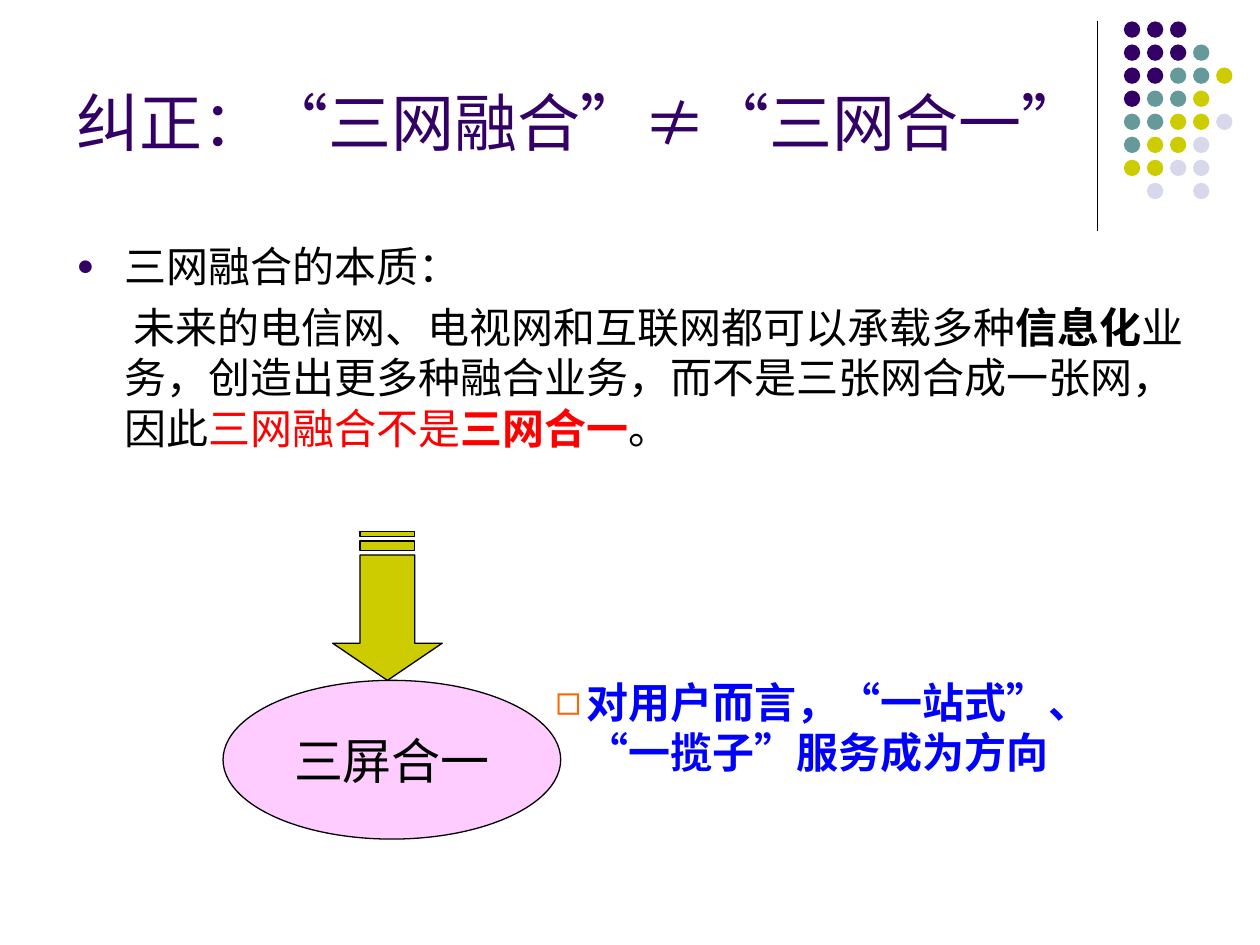
from lxml import etree
from pptx import Presentation
from pptx.dml.color import RGBColor
from pptx.enum.shapes import MSO_CONNECTOR as Connector, MSO_SHAPE as Shape
from pptx.enum.text import MSO_ANCHOR as Anchor, PP_ALIGN as Align
from pptx.oxml.ns import qn
from pptx.util import Inches, Pt

COLUMNS, ROWS = 100, 75
BLACK, PURPLE, TEAL, OLIVE, LILAC = "000000", "330066", "669999", "CCCC00", "D8D8EC"
RED, BLUE, ORANGE, PINK = "FF0000", "0000FF", "FF6600", "FFCCFF"
CJK = "Noto Sans CJK SC"


def color(code):
    return RGBColor.from_string(code)


class Deck:
    """Places elements on the current slide; lengths are grid columns and rows."""

    def __init__(self):
        self.show = Presentation()
        self.show.slide_width, self.show.slide_height = Inches(10), Inches(7.5)
        self.slide = self.show.slides.add_slide(self.show.slide_layouts[6])

    def x(self, columns):
        return round(columns * self.show.slide_width / COLUMNS)

    def y(self, rows):
        return round(rows * self.show.slide_height / ROWS)

    def box(self, left, top, width, height):
        return self.x(left), self.y(top), self.x(width), self.y(height)

    def paint(self, shape, fill, outline=None):
        shape.shadow.inherit = False
        shape.fill.solid()
        shape.fill.fore_color.rgb = color(fill)
        if outline:
            shape.line.color.rgb = color(outline)
            shape.line.width = Pt(0.75)
        else:
            shape.line.fill.background()

    def ellipse(self, area, fill, outline=None):
        oval = self.slide.shapes.add_shape(Shape.OVAL, *self.box(*area))
        self.paint(oval, fill, outline)
        return oval

    def line(self, x1, y1, x2, y2):
        rule = self.slide.shapes.add_connector(
            Connector.STRAIGHT, self.x(x1), self.y(y1), self.x(x2), self.y(y2))
        rule.line.color.rgb = color(BLACK)
        rule.line.width = Pt(0.75)
        etree.SubElement(rule._element.spPr, qn("a:effectLst"))

    def striped_arrow(self, left, top, width, height):
        """Down arrow whose stripes are measured in 32nds of its height."""
        def points(shares):
            return [(self.x(left + width * across), self.y(top + height * down / 32))
                    for across, down in shares]

        near, far = 0.25, 0.75
        outlines = [points([(far, start), (far, end), (near, end), (near, start)])
                    for start, end in ((0, 1), (2, 4))]
        outlines.append(points([(far, 5), (far, 24), (1, 24), (0.5, 32),
                                (0, 24), (near, 24), (near, 5)]))
        builder = self.slide.shapes.build_freeform(*outlines[0][0])
        builder.add_line_segments(outlines[0][1:])
        for outline in outlines[1:]:
            builder.move_to(*outline[0])
            builder.add_line_segments(outline[1:])
        self.paint(builder.convert_to_shape(), OLIVE, BLACK)

    def text_box(self, area, anchor=Anchor.TOP):
        frame = self.slide.shapes.add_textbox(*self.box(*area)).text_frame
        frame.word_wrap = True
        frame.vertical_anchor = anchor
        return frame

    def add_runs(self, paragraph, runs, size, font, ink=BLACK, bold=False):
        """Fill a paragraph with runs of (text, own colour, own weight)."""
        style = paragraph.font
        style.size, style.name = Pt(size), font
        if len(runs) == 1:
            style.bold, style.color.rgb = bold, color(ink)
        for text, own_ink, own_bold in runs:
            run = paragraph.add_run()
            run.text = text
            if len(runs) > 1:
                run.font.bold = own_bold
                run.font.color.rgb = color(own_ink or ink)
            properties = run._r.get_or_add_rPr()
            properties.set("lang", "zh-CN")
            etree.SubElement(properties, qn("a:ea"), typeface=CJK)

    def indent(self, paragraph, margin, first, bullet=None, ink=BLACK, percent=100):
        properties = paragraph._p.get_or_add_pPr()
        properties.set("marL", str(self.x(margin)))
        properties.set("indent", str(self.x(first)))
        if bullet:
            tint = etree.SubElement(properties, qn("a:buClr"))
            etree.SubElement(tint, qn("a:srgbClr"), val=ink)
            etree.SubElement(properties, qn("a:buSzPct"), val=str(percent * 1000))
            etree.SubElement(properties, qn("a:buFont"), typeface="Arial")
            etree.SubElement(properties, qn("a:buChar"), char=bullet)


def main():
    deck = Deck()

    deck.line(87.1, 1.7, 87.1, 18.3)
    dot_colors = {"P": PURPLE, "T": TEAL, "O": OLIVE, "L": LILAC}
    dot_rows = ("PPP", "PPPT", "PPTTO", "PTTO", "TTOOL", "TOOL", "OOLL", " L L")
    pitch = 1.83
    for row, letters in enumerate(dot_rows):
        for column, letter in enumerate(letters):
            if letter in dot_colors:
                deck.ellipse((89.2 + column * pitch, 1.7 + row * pitch, 1.3, 1.3),
                             dot_colors[letter])

    title = deck.text_box((5.1, 4.4, 82.5, 8.7), Anchor.BOTTOM)
    deck.add_runs(title.paragraphs[0], [("纠正：“三网融合”≠“三网合一”", None, False)],
                  36, "Times New Roman", PURPLE)

    body = deck.text_box((5.1, 18.6, 90, 48.2))
    essence = body.paragraphs[0]
    deck.indent(essence, 3.8, -3.8, "●", PURPLE, 70)
    deck.add_runs(essence, [("三网融合的本质：", None, False)], 24, CJK)
    explanation = body.add_paragraph()
    explanation.space_before = Pt(6)
    deck.indent(explanation, 3.8, 0.7)
    deck.add_runs(explanation, [
        ("未来的电信网、电视网和互联网都可以承载多种", None, False),
        ("信息化", None, True),
        ("业务，创造出更多种融合业务，而不是三张网合成一张网，因此", None, False),
        ("三网融合不是", RED, False),
        ("三网合一", RED, True),
        ("。", None, False)], 24, CJK)

    deck.striped_arrow(26.4, 42.2, 8.7, 11.8)
    screens = deck.ellipse((17.7, 54, 26.8, 12.6), PINK, BLACK).text_frame
    screens.word_wrap = False
    screens.vertical_anchor = Anchor.MIDDLE
    screens.paragraphs[0].alignment = Align.CENTER
    deck.add_runs(screens.paragraphs[0], [("三屏合一", None, False)], 28, "Arial")

    service = deck.text_box((40.6, 53.2, 47.3, 15.1)).paragraphs[0]
    deck.indent(service, 5, -2.5, "◻", ORANGE)
    deck.add_runs(service, [("对用户而言，“一站式”、“一揽子”服务成为方向", None, True)],
                  24, "Times New Roman", BLUE, True)

    deck.show.save("out.pptx")


if __name__ == "__main__":
    main()
